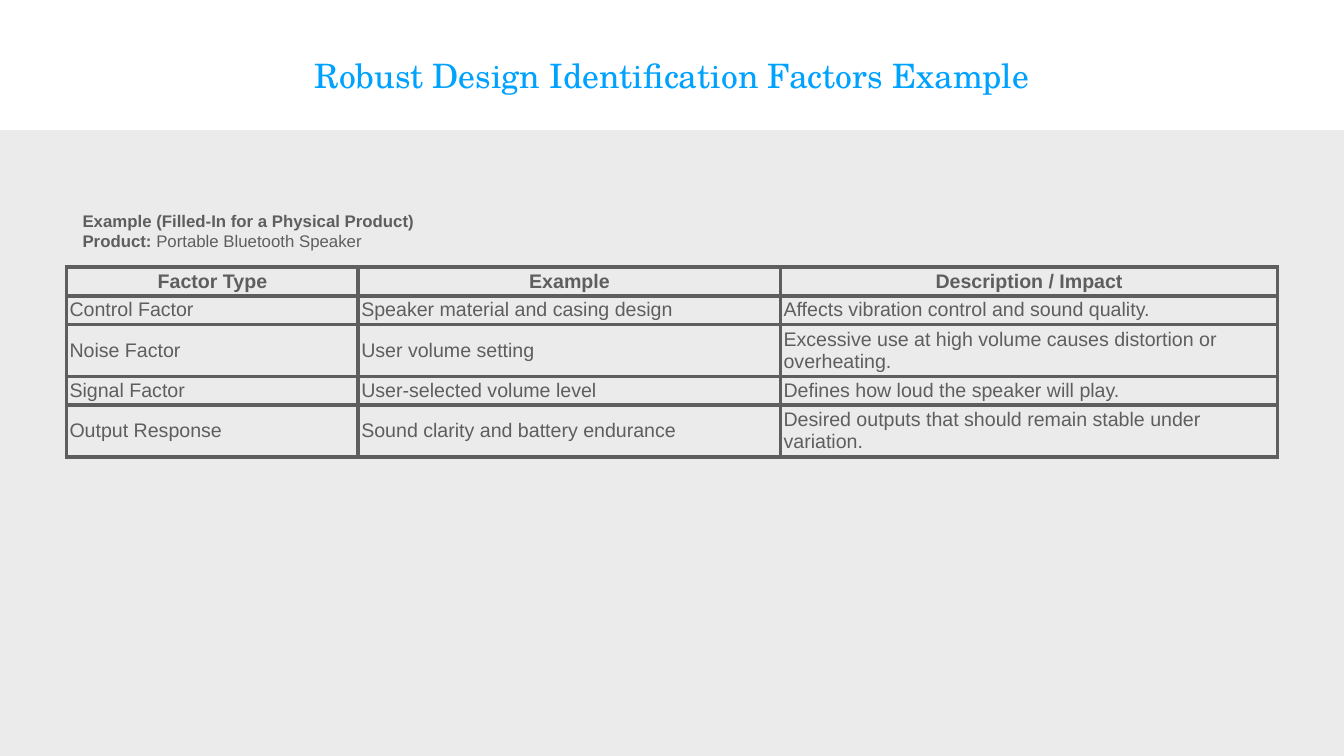
import pptx
import pptx.util
import pptx.dml.color
import pptx.enum.shapes
import pptx.enum.text
import pptx.oxml
import pptx.oxml.ns

Inches = pptx.util.Inches
Pt = pptx.util.Pt
ALIGN = pptx.enum.text.PP_ALIGN
ANCHOR = pptx.enum.text.MSO_ANCHOR

TITLE = "Robust Design Identification Factors Example"
INTRO = [
    [("Example (Filled-In for a Physical Product)", True)],
    [("Product:", True), (" Portable Bluetooth Speaker", False)],
]
HEADER = ("Factor Type", "Example", "Description / Impact")
FACTORS = [
    ("Control Factor", "Speaker material and casing design",
     "Affects vibration control and sound quality."),
    ("Noise Factor", "User volume setting",
     "Excessive use at high volume causes distortion or overheating."),
    ("Signal Factor", "User-selected volume level",
     "Defines how loud the speaker will play."),
    ("Output Response", "Sound clarity and battery endurance",
     "Desired outputs that should remain stable under variation."),
]

THEME = {
    "panel": "EBEBEB",
    "grid": "5E5E5E",
    "grid_width": 6,
    "title": {"name": "TeX Gyre Schola", "size": 48, "color": "00A2FF"},
    "intro": {"name": "Arial", "size": 24, "color": "5E5E5E"},
    "table": {"name": "Arial", "size": 28, "color": "5E5E5E"},
}

SLIDE_WIDTH, SLIDE_HEIGHT = 26.67, 15
PANEL_TOP = 2.58
TABLE_LEFT, TABLE_TOP = 1.32, 5.3
COLUMN_WIDTHS = (5.79, 8.38, 9.86)
ONE_LINE, TWO_LINES = 0.57, 1.03
WRAP_LENGTH = 50  # characters that fit on one line of the last column
SMALL_INSET = 0.06


def rgb(value):
    return pptx.dml.color.RGBColor.from_string(value)


def set_insets(target, inset):
    for side in ("left", "right", "top", "bottom"):
        setattr(target, f"margin_{side}", Inches(inset))


def add_run(paragraph, text, style, bold=False):
    run = paragraph.add_run()
    run.text = text
    formats = {"name": style["name"], "size": Pt(style["size"]), "bold": bold}
    for attribute, value in formats.items():
        setattr(run.font, attribute, value)
    run.font.color.rgb = rgb(style["color"])


def add_text_box(slide, box, paragraphs, style, formats, alignment, inset=None):
    frame = slide.shapes.add_textbox(*map(Inches, box)).text_frame
    for attribute, value in formats.items():
        setattr(frame, attribute, value)
    if inset is not None:
        set_insets(frame, inset)
    for index, runs in enumerate(paragraphs):
        paragraph = frame.add_paragraph() if index else frame.paragraphs[0]
        paragraph.alignment = alignment
        for text, bold in runs:
            add_run(paragraph, text, style, bold)


def add_cell_borders(cell):
    """Borders must come before the cell's fill in the XML."""
    properties = cell._tc.get_or_add_tcPr()
    for position, edge in enumerate(("lnL", "lnR", "lnT", "lnB")):
        properties.insert(position, pptx.oxml.parse_xml(
            f'<a:{edge} {pptx.oxml.ns.nsdecls("a")} w="{Pt(THEME["grid_width"])}">'
            f'<a:solidFill><a:srgbClr val="{THEME["grid"]}"/></a:solidFill>'
            f'</a:{edge}>'))


def add_panel(slide):
    panel = slide.shapes.add_shape(
        pptx.enum.shapes.MSO_SHAPE.RECTANGLE, 0, Inches(PANEL_TOP),
        Inches(SLIDE_WIDTH), Inches(SLIDE_HEIGHT - PANEL_TOP))
    panel.shadow.inherit = False
    panel.fill.solid()
    panel.fill.fore_color.rgb = rgb(THEME["panel"])
    panel.line.fill.background()


def add_factor_table(slide):
    rows = [HEADER, *FACTORS]
    heights = [TWO_LINES if len(row[-1]) > WRAP_LENGTH else ONE_LINE for row in rows]
    table = slide.shapes.add_table(
        len(rows), len(HEADER), Inches(TABLE_LEFT), Inches(TABLE_TOP),
        Inches(sum(COLUMN_WIDTHS)), Inches(sum(heights))).table
    table.horz_banding = False
    for column, width in zip(table.columns, COLUMN_WIDTHS):
        column.width = Inches(width)
    for row_index, (row, height) in enumerate(zip(rows, heights)):
        is_header = row_index == 0
        table.rows[row_index].height = Inches(height)
        for column_index, text in enumerate(row):
            cell = table.cell(row_index, column_index)
            cell.fill.background()
            cell.vertical_anchor = ANCHOR.MIDDLE
            set_insets(cell, SMALL_INSET)
            add_cell_borders(cell)
            paragraph = cell.text_frame.paragraphs[0]
            paragraph.alignment = ALIGN.CENTER if is_header else ALIGN.LEFT
            add_run(paragraph, text, THEME["table"], is_header)


def main():
    presentation = pptx.Presentation()
    presentation.slide_width = Inches(SLIDE_WIDTH)
    presentation.slide_height = Inches(SLIDE_HEIGHT)
    slide = presentation.slides.add_slide(presentation.slide_layouts[6])
    add_panel(slide)
    add_factor_table(slide)
    add_text_box(slide, (1.54, 4.13, 9.2, 0.91), INTRO, THEME["intro"],
                 {"word_wrap": True}, ALIGN.LEFT)
    add_text_box(slide, (3.99, 1.03, 18.68, 0.92), [[(TITLE, False)]], THEME["title"],
                 {"word_wrap": True, "vertical_anchor": ANCHOR.MIDDLE},
                 ALIGN.CENTER, SMALL_INSET)
    presentation.save("out.pptx")


if __name__ == "__main__":
    main()
